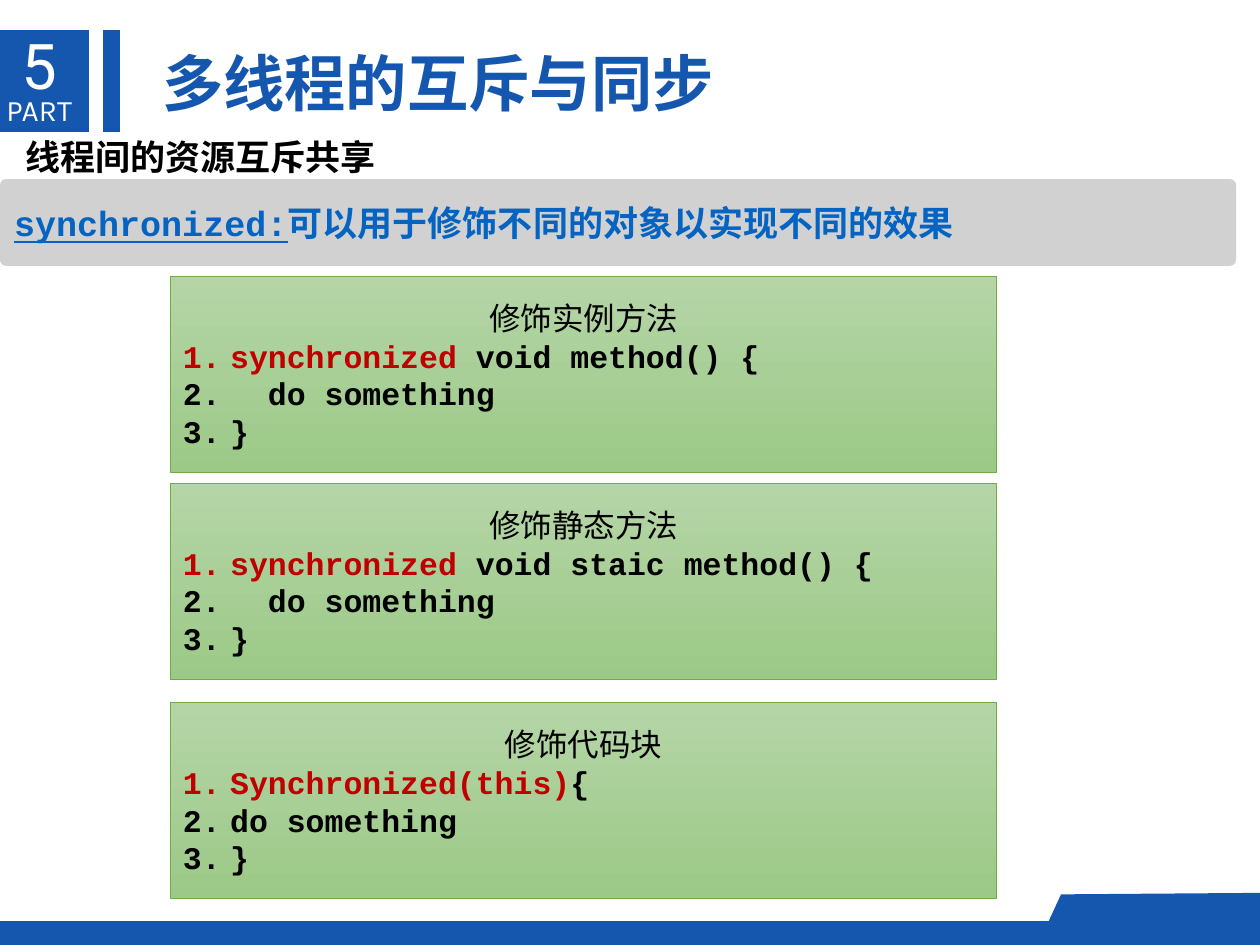
from lxml.etree import SubElement
from pptx import Presentation
from pptx.dml.color import RGBColor
from pptx.enum.shapes import MSO_SHAPE
from pptx.enum.text import MSO_ANCHOR, MSO_AUTO_SIZE, PP_ALIGN
from pptx.oxml.ns import qn
from pptx.util import Cm, Pt

BLUE = RGBColor(0x15, 0x57, 0xAE)
LINK_BLUE = RGBColor(0x05, 0x63, 0xC1)
GREY = RGBColor(0xA5, 0xA5, 0xA5)
LIGHT_GREEN = RGBColor(0xB5, 0xD5, 0xA7)
MID_GREEN = RGBColor(0x9C, 0xC9, 0x87)
EDGE_GREEN = RGBColor(0x70, 0xAD, 0x47)
RED = RGBColor(0xC0, 0x00, 0x00)
BLACK = RGBColor(0x00, 0x00, 0x00)
WHITE = RGBColor(0xFF, 0xFF, 0xFF)
CJK_FONT = "Noto Sans CJK SC"


def style(font, size, name, color, bold=False):
    """Set the Latin font and, for Chinese text, the East Asian one."""
    font.size, font.name, font.bold = Pt(size), name, bold
    font.color.rgb = color
    SubElement(font._element, qn("a:ea"), typeface=CJK_FONT)


def add_block(kind, left, top, width, height):
    block = slide.shapes.add_shape(kind, Cm(left), Cm(top), Cm(width), Cm(height))
    block.shadow.inherit = False
    block.line.fill.background()
    return block


prs = Presentation()
prs.slide_width, prs.slide_height = Cm(25.4), Cm(19.05)
slide = prs.slides.add_slide(prs.slide_layouts[6])

# Blue badge, bar and footer
for box in [(0, 0.6, 1.79, 2.06), (2.07, 0.6, 0.35, 2.06), (0, 18.57, 25.4, 0.48)]:
    block = add_block(MSO_SHAPE.FLOWCHART_PROCESS, *box)
    block.fill.solid()
    block.fill.fore_color.rgb = BLUE

outline = slide.shapes.build_freeform(Cm(25.4), Cm(18.92))
outline.add_line_segments(
    [(Cm(25.4), Cm(18)), (Cm(21.39), Cm(18.03)), (Cm(20.98), Cm(18.92))]
)
corner = outline.convert_to_shape()
corner.shadow.inherit = False
corner.fill.solid()
corner.fill.fore_color.rgb = BLUE
corner.line.fill.background()

# Headings: text, box, insets (left, top, right, bottom), wrap, font
headings = [
    ("PART", (0.13, 1.85, 1.52, 0.74), (0, 0, 0, 0), False,
     (17, "Karla", WHITE)),
    ("5", (0.18, 0.41, 1.35, 1.8), (0.25, 0.13, 0.25, 0.13), False,
     (36, "Roboto", WHITE)),
    ("多线程的互斥与同步", (2.74, 0.79, 12.12, 1.75), (0.53, 0.13, 0, 0.13), True,
     (35, CJK_FONT, BLUE, True)),
    ("线程间的资源互斥共享", (0.13, 2.6, 12.88, 1.12), (0.38, 0.13, 0.25, 0.13), True,
     (20, "Times New Roman", BLACK, True)),
]
for text, box, insets, wrap, font in headings:
    frame = slide.shapes.add_textbox(*map(Cm, box)).text_frame
    frame.margin_left, frame.margin_top, frame.margin_right, frame.margin_bottom = map(
        Cm, insets
    )
    frame.word_wrap = wrap
    frame.auto_size = MSO_AUTO_SIZE.SHAPE_TO_FIT_TEXT
    frame.text = text
    style(frame.paragraphs[0].font, *font)

# Grey banner
banner = add_block(MSO_SHAPE.ROUNDED_RECTANGLE, 0, 3.61, 24.92, 1.75)
banner.adjustments[0] = 0.07
banner.fill.solid()
banner.fill.fore_color.rgb = GREY
banner_color = banner._element.spPr.find(qn("a:solidFill"))[0]
SubElement(banner_color, qn("a:alpha"), val="50000")
banner.text_frame.vertical_anchor = MSO_ANCHOR.MIDDLE
statement = banner.text_frame.paragraphs[0]
statement.alignment = PP_ALIGN.JUSTIFY
style(statement.font, 20, "Courier New", LINK_BLUE, True)
for text, underlined in [
    ("synchronized:", True),
    ("可以用于修饰不同的对象以实现不同的效果", False),
]:
    run = statement.add_run()
    run.text = text
    run.font.underline = underlined
    run.font.color.rgb = LINK_BLUE

# Code panels: top, caption, keyword, rest of the first line, body
panels = [
    (5.58, "修饰实例方法", "synchronized", " void method() {", "  do something"),
    (9.75, "修饰静态方法", "synchronized", " void staic method() {", "  do something"),
    (14.17, "修饰代码块", "Synchronized(this)", "{", "do something"),
]
for top, caption, keyword, signature, body in panels:
    panel = add_block(MSO_SHAPE.ROUNDED_RECTANGLE, 3.44, top, 16.65, 3.94)
    panel.adjustments[0] = 0
    panel.fill.gradient()
    panel.fill.gradient_angle = 270
    for stop, color in zip(panel.fill.gradient_stops, (LIGHT_GREEN, MID_GREEN)):
        stop.color.rgb = color
    panel.line.color.rgb = EDGE_GREEN
    panel.line.width = Pt(0.5)

    frame = panel.text_frame
    frame.vertical_anchor = MSO_ANCHOR.MIDDLE
    lines = [
        [(caption, BLACK)],
        [(keyword, RED), (signature, BLACK)],
        [(body, BLACK)],
        [("}", BLACK)],
    ]
    for number, runs in enumerate(lines):
        paragraph = frame.add_paragraph() if number else frame.paragraphs[0]
        paragraph.alignment = PP_ALIGN.LEFT if number else PP_ALIGN.CENTER
        style(paragraph.font, 18, "Courier New", BLACK, number > 0)
        for text, color in runs:
            run = paragraph.add_run()
            run.text = text
            run.font.color.rgb = color
        if number:
            properties = paragraph._p.get_or_add_pPr()
            properties.set("marL", str(Cm(0.95)))
            properties.set("indent", str(-Cm(0.95)))
            numbering = SubElement(properties, qn("a:buAutoNum"), type="arabicPeriod")
            properties.insert(0, numbering)

prs.save("out.pptx")
